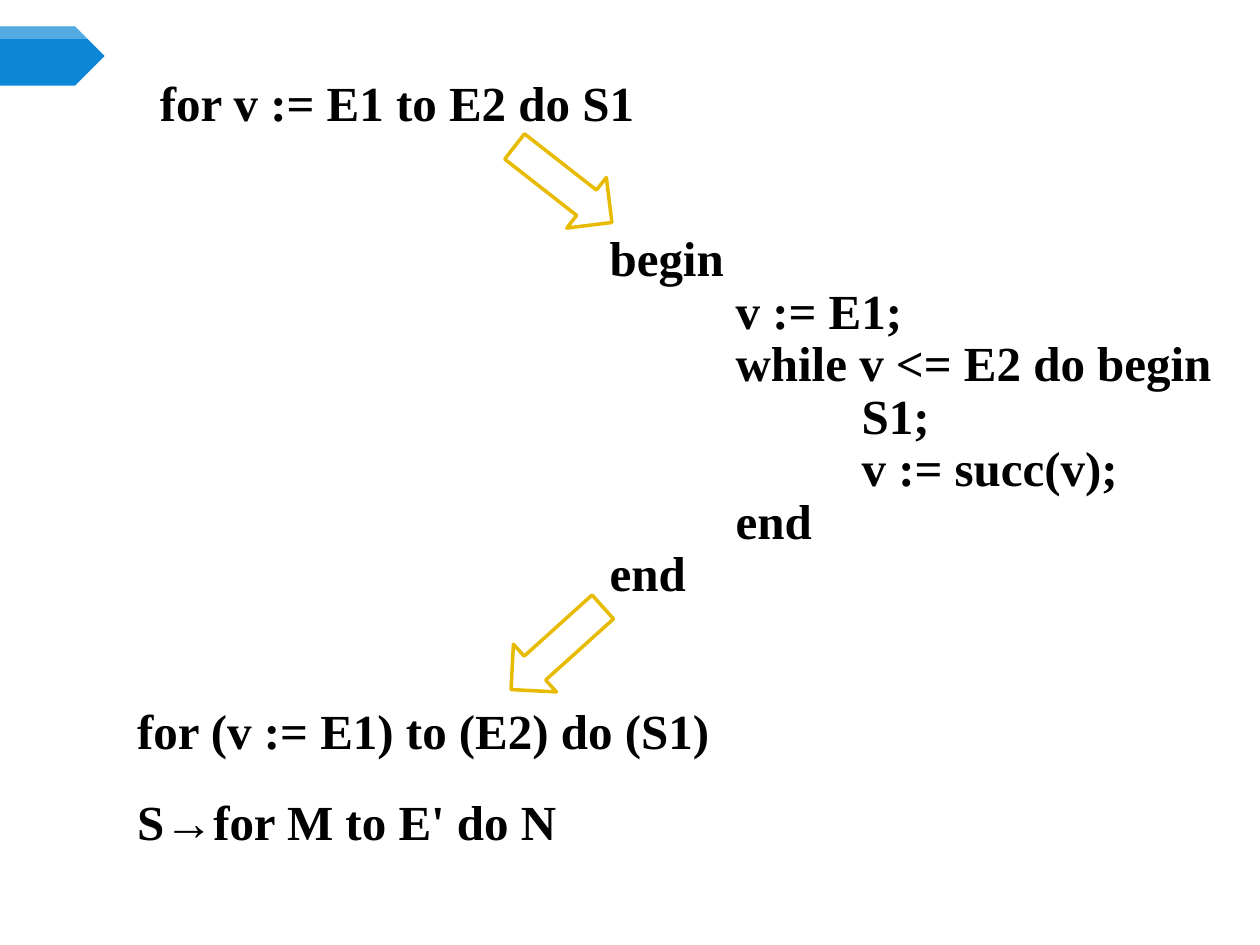
from lxml.etree import SubElement
from pptx import Presentation
from pptx.dml.color import RGBColor
from pptx.enum.shapes import MSO_SHAPE as Shape
from pptx.enum.text import MSO_AUTO_SIZE as AutoSize
from pptx.oxml.ns import qn
from pptx.util import Inches, Pt

COLORS = {"text": "000000", "paper": "FFFFFF", "marker": "0B87D6", "arrow": "E7BB01"}
SERIF, SYMBOL = "Times New Roman", "Arial"
CODE_LEFT = 0.99
ARROW_SIZE = (0.98, 0.51)
TAB_STOPS = (1, 2)
EXPANSION = [
    "begin",
    "\tv := E1;",
    "\twhile v <= E2 do begin",
    "\t\tS1;",
    "\t\tv := succ(v);",
    "\tend",
    "end",
]


def color(name):
    return RGBColor.from_string(COLORS[name])


def paint(shape, fill, line=None):
    shape.shadow.inherit = False
    shape.fill.solid()
    shape.fill.fore_color.rgb = color(fill)
    if line:
        shape.line.color.rgb = color(line)
        shape.line.width = Pt(2)
    else:
        shape.line.fill.background()


def add_marker(slide):
    """Blue pointer at the left edge with a translucent highlight along its top."""
    top, width, height, band = 0.21, 0.83, 0.47, 0.1
    pointer = slide.shapes.add_shape(
        Shape.PENTAGON, 0, Inches(top), Inches(width), Inches(height))
    paint(pointer, "marker")

    shoulder = width - height / 2
    builder = slide.shapes.build_freeform(0, Inches(top))
    builder.add_line_segments([
        (Inches(shoulder), Inches(top)),
        (Inches(shoulder + band), Inches(top + band)),
        (0, Inches(top + band)),
    ])
    highlight = builder.convert_to_shape()
    paint(highlight, "paper")
    tint = highlight.fill._xPr.find(qn("a:solidFill"))[0]
    SubElement(tint, qn("a:alpha"), val="30000")


def set_tab_stops(paragraph):
    stops = SubElement(paragraph._p.get_or_add_pPr(), qn("a:tabLst"))
    for stop in TAB_STOPS:
        SubElement(stops, qn("a:tab"), pos=str(Inches(stop)), algn="l")


def add_code(slide, left, top, width, height, lines, wrap=False, spacing=None):
    """Each line is a list of (text, font) runs."""
    box = slide.shapes.add_textbox(*map(Inches, (left, top, width, height)))
    frame = box.text_frame
    frame.word_wrap = wrap
    frame.auto_size = AutoSize.SHAPE_TO_FIT_TEXT
    for index, runs in enumerate(lines):
        paragraph = frame.add_paragraph() if index else frame.paragraphs[0]
        if spacing:
            paragraph.line_spacing = Pt(spacing)
        if runs[0][0].startswith("\t"):
            set_tab_stops(paragraph)
        for text, font in runs:
            run = paragraph.add_run()
            run.text = text
            run.font.name = font
            run.font.size = Pt(28)
            run.font.bold = True
            run.font.color.rgb = color("text")


def add_arrow(slide, left, top, rotation):
    arrow = slide.shapes.add_shape(
        Shape.RIGHT_ARROW, *map(Inches, (left, top, *ARROW_SIZE)))
    arrow.rotation = rotation
    paint(arrow, "paper", "arrow")


def main():
    deck = Presentation()
    deck.slide_width, deck.slide_height = Inches(10), Inches(7.5)
    slide = deck.slides.add_slide(deck.slide_layouts[6])

    add_marker(slide)
    add_code(slide, 1.17, 0.53, 3.97, 0.57, [[("for v := E1 to E2 do S1", SERIF)]])
    add_code(slide, 4.74, 1.81, 5.26, 3.05,
             [[(line, SERIF)] for line in EXPANSION], wrap=True, spacing=30)
    add_arrow(slide, 3.98, 1.21, 38)
    add_code(slide, CODE_LEFT, 6.23, 3.53, 0.57,
             [[("S", SERIF), ("→", SYMBOL), ("for M to E' do N", SERIF)]])
    add_code(slide, CODE_LEFT, 5.51, 4.74, 0.57,
             [[("for (v := E1) to (E2) do (S1)", SERIF)]])
    add_arrow(slide, 3.93, 4.89, 138)

    deck.save("out.pptx")


if __name__ == "__main__":
    main()
